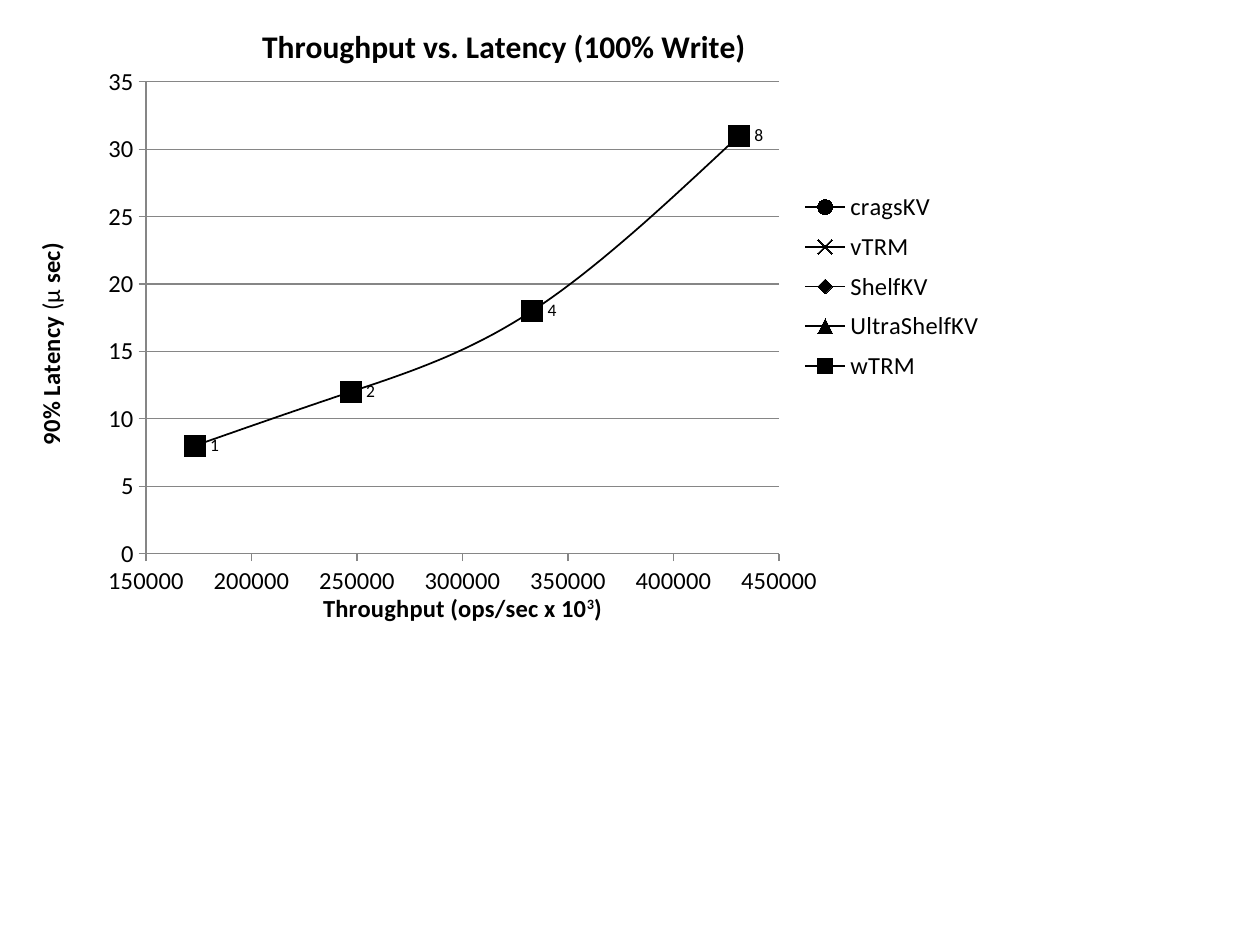
from lxml import etree
from pptx import Presentation
from pptx.chart.data import XyChartData
from pptx.dml.color import RGBColor
from pptx.enum.chart import XL_CHART_TYPE as ChartType
from pptx.enum.chart import XL_LABEL_POSITION as LabelPosition
from pptx.enum.chart import XL_LEGEND_POSITION as LegendPosition
from pptx.enum.chart import XL_MARKER_STYLE as Marker
from pptx.enum.chart import XL_TICK_MARK as TickMark
from pptx.oxml.ns import qn
from pptx.util import Inches, Pt

BLACK = RGBColor(0, 0, 0)
GRAY = RGBColor(0x86, 0x86, 0x86)
FONT = "Calibri"

TITLE = [("Throughput vs. Latency (100% Write)", True, False)]
X_TITLE = [("Throughput (ops/sec x 10", True, False), ("3", True, True), (")", True, False)]
Y_TITLE = [("90% Latency ", True, False), ("(μ", False, False), (" sec)", True, False)]
RIGHT, LEFT = LabelPosition.RIGHT, LabelPosition.LEFT
SERIES = [
    ("cragsKV", Marker.CIRCLE, RIGHT, [(61000, 13)]),
    ("vTRM", Marker.X, RIGHT, [(99000, 12), (107000, 30)]),
    ("ShelfKV", Marker.DIAMOND, RIGHT, [(163000, 7)]),
    ("UltraShelfKV", Marker.TRIANGLE, LEFT, [(178000, 7), (218000, 12), (237000, 24)]),
    ("wTRM", Marker.SQUARE, RIGHT, [(173000, 8), (247000, 12), (333000, 18), (431000, 31)]),
]
PLOT_LAYOUT = {"layoutTarget": "inner", "xMode": "edge", "yMode": "edge",
               "x": 0.145, "y": 0.13, "w": 0.628, "h": 0.749}
LEGEND_LAYOUT = {"xMode": "edge", "yMode": "edge", "x": 0.78, "y": 0.29, "w": 0.21, "h": 0.33}
Y_TITLE_LAYOUT = {"xMode": "edge", "yMode": "edge", "x": 0.03, "y": 0.38}


def style_font(font, size, bold=False):
    font.name = FONT
    font.size = Pt(size)
    font.bold = bold
    font.color.rgb = BLACK


def write_title(owner, parts, size):
    owner.has_title = True
    title = owner.chart_title if hasattr(owner, "chart_title") else owner.axis_title
    paragraph = title.text_frame.paragraphs[0]
    for text, bold, superscript in parts:
        run = paragraph.add_run()
        run.text = text
        style_font(run.font, size, bold)
        if superscript:
            run._r.get_or_add_rPr().set("baseline", "30000")


def style_axis(axis, parts, minimum, maximum, step):
    write_title(axis, parts, 14)
    axis.minimum_scale, axis.maximum_scale, axis.major_unit = minimum, maximum, step
    axis.major_tick_mark = TickMark.OUTSIDE
    axis.minor_tick_mark = TickMark.NONE
    axis.format.line.color.rgb = GRAY
    axis.tick_labels.number_format = "General"
    axis.tick_labels.number_format_is_linked = False
    style_font(axis.tick_labels.font, 14)


def style_series(series, marker, position, points):
    series._element.get_or_add_smooth().val = True
    series.format.line.color.rgb = BLACK
    series.format.line.width = Pt(1)
    series.marker.style = marker
    series.marker.size = 12
    series.marker.format.fill.solid()
    series.marker.format.fill.fore_color.rgb = BLACK
    series.marker.format.line.color.rgb = BLACK
    for index in range(len(points)):
        label = series.points[index].data_label
        label.text_frame.text = str(2 ** index)
        style_font(label.text_frame.paragraphs[0].runs[0].font, 10)
        label.position = position


def set_layout(element, values, index):
    for old_layout in element.findall(qn("c:layout")):
        element.remove(old_layout)
    layout = etree.Element(qn("c:layout"))
    manual = etree.SubElement(layout, qn("c:manualLayout"))
    for tag, value in values.items():
        etree.SubElement(manual, qn("c:" + tag)).set("val", str(value))
    element.insert(index, layout)


def main():
    presentation = Presentation()
    presentation.slide_width, presentation.slide_height = Inches(10), Inches(7.5)
    slide = presentation.slides.add_slide(presentation.slide_layouts[6])

    data = XyChartData()
    for name, _, _, points in SERIES:
        series_data = data.add_series(name)
        for throughput, latency in points:
            series_data.add_data_point(throughput, latency)
    chart = slide.shapes.add_chart(
        ChartType.XY_SCATTER_SMOOTH, 0, 0, Inches(8), Inches(5), data
    ).chart
    style_font(chart.font, 10)
    write_title(chart, TITLE, 18)
    chart.plots[0].vary_by_categories = False

    style_axis(chart.category_axis, X_TITLE, 150000, 450000, 50000)
    style_axis(chart.value_axis, Y_TITLE, 0, 35, 5)
    chart.category_axis.has_major_gridlines = False
    chart.value_axis.has_major_gridlines = True
    chart.value_axis.major_gridlines.format.line.color.rgb = GRAY

    for series, (_, marker, position, points) in zip(chart.plots[0].series, SERIES):
        style_series(series, marker, position, points)

    chart.has_legend = True
    chart.legend.position = LegendPosition.RIGHT
    chart.legend.include_in_layout = False
    style_font(chart.legend.font, 14)

    set_layout(chart._chartSpace.find(".//" + qn("c:plotArea")), PLOT_LAYOUT, 0)
    set_layout(chart.legend._element, LEGEND_LAYOUT, 1)
    set_layout(chart.value_axis.axis_title._element, Y_TITLE_LAYOUT, 1)
    presentation.save("out.pptx")


if __name__ == "__main__":
    main()
